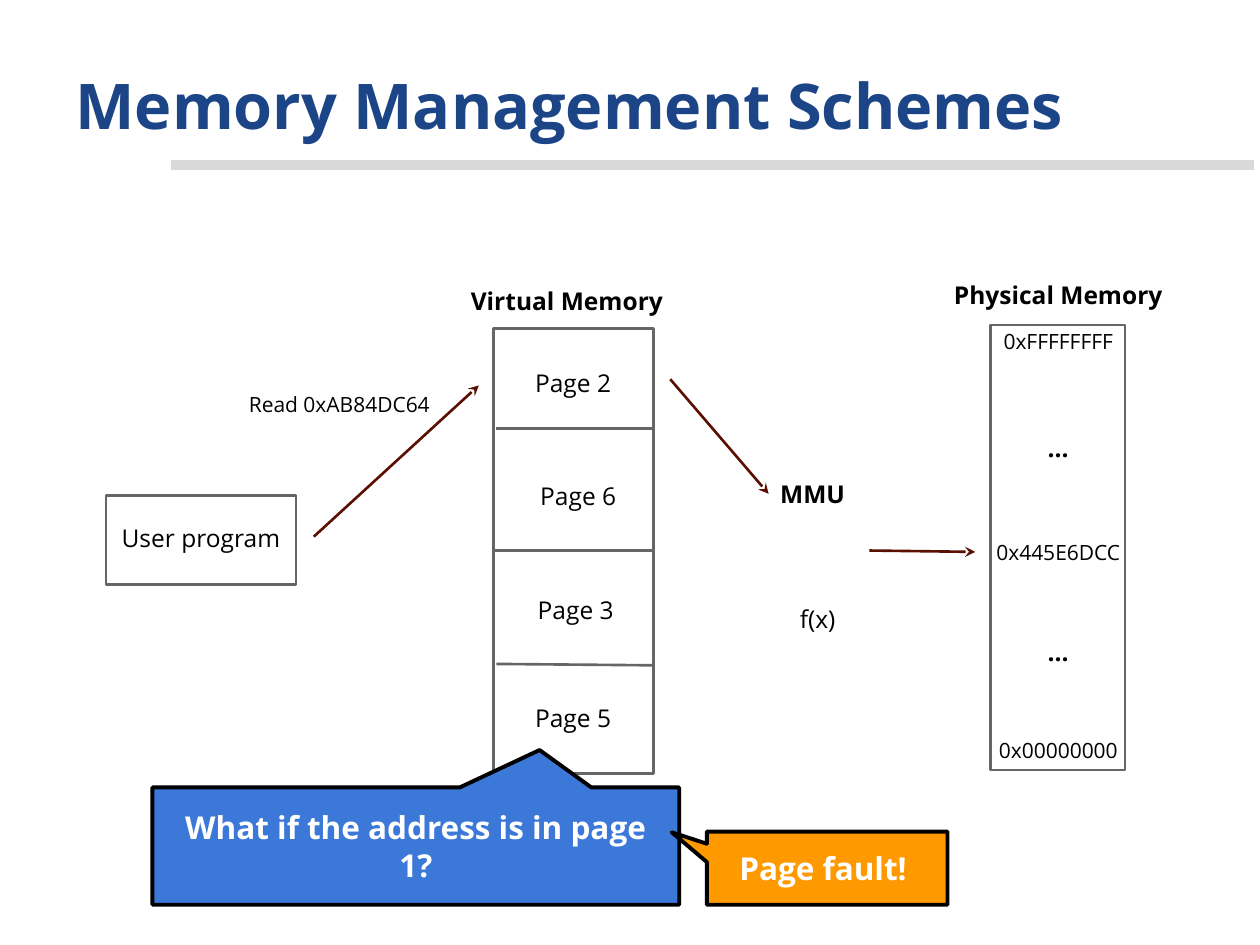
from dataclasses import dataclass

from lxml.etree import SubElement
from pptx import Presentation
from pptx.dml.color import RGBColor
from pptx.enum.shapes import MSO_CONNECTOR, MSO_SHAPE
from pptx.enum.text import MSO_ANCHOR, MSO_AUTO_SIZE, PP_ALIGN
from pptx.oxml.ns import qn
from pptx.util import Pt


@dataclass(frozen=True)
class Theme:
    """Colours, font and type sizes of the slide."""
    font: str = "Open Sans"
    title: str = "1C4587"
    text: str = "000000"
    paper: str = "FFFFFF"
    rule: str = "D9D9D9"
    border: str = "666666"
    arrow: str = "5B0F00"
    question: str = "3C78D8"
    answer: str = "FF9900"
    title_size: int = 36
    callout_size: int = 18
    label_size: int = 14
    address_size: int = 12


class MemoryDiagram:
    """Draws styled elements on the current slide."""

    def __init__(self, slide, theme):
        self.slide = slide
        self.theme = theme

    def set_text(self, shape, text, size, color, bold=False,
                 align=PP_ALIGN.CENTER, anchor=MSO_ANCHOR.MIDDLE):
        frame = shape.text_frame
        frame.text = text
        frame.word_wrap = True
        frame.auto_size = MSO_AUTO_SIZE.NONE
        frame.vertical_anchor = anchor
        frame.margin_left = frame.margin_right = Pt(7.2)
        frame.margin_top = frame.margin_bottom = Pt(7.2)
        paragraph = frame.paragraphs[0]
        paragraph.alignment = align
        font = paragraph.font
        font.name, font.size, font.bold = self.theme.font, Pt(size), bold
        font.color.rgb = RGBColor.from_string(color)

    def title(self, text, left, top, width, height):
        shape = self.slide.shapes.title
        shape.left, shape.top = Pt(left), Pt(top)
        shape.width, shape.height = Pt(width), Pt(height)
        self.set_text(shape, text, self.theme.title_size, self.theme.title, True,
                      PP_ALIGN.LEFT, MSO_ANCHOR.BOTTOM)

    def label(self, text, left, top, width, height=38.9, size=None,
              bold=False, anchor=MSO_ANCHOR.MIDDLE):
        shape = self.slide.shapes.add_textbox(Pt(left), Pt(top), Pt(width), Pt(height))
        self.set_text(shape, text, size or self.theme.label_size, self.theme.text,
                      bold, anchor=anchor)

    def box(self, left, top, width, height, kind=MSO_SHAPE.RECTANGLE,
            fill=None, border=None, weight=1.5):
        shape = self.slide.shapes.add_shape(kind, Pt(left), Pt(top), Pt(width), Pt(height))
        shape.shadow.inherit = False
        shape.fill.solid()
        shape.fill.fore_color.rgb = RGBColor.from_string(fill or self.theme.paper)
        shape.line.color.rgb = RGBColor.from_string(border or self.theme.border)
        shape.line.width = Pt(weight)
        return shape

    def callout(self, text, left, top, width, height, fill, tip):
        shape = self.box(left, top, width, height,
                         MSO_SHAPE.ROUNDED_RECTANGULAR_CALLOUT, fill, self.theme.text, 2.25)
        for index, value in enumerate((*tip, 0)):
            shape.adjustments[index] = value
        self.set_text(shape, text, self.theme.callout_size, self.theme.paper, True)

    def line(self, start, end, color, weight=1.5):
        connector = self.slide.shapes.add_connector(
            MSO_CONNECTOR.STRAIGHT, *map(Pt, (*start, *end)))
        connector.line.color.rgb = RGBColor.from_string(color)
        connector.line.width = Pt(weight)
        SubElement(connector._element.spPr, qn("a:effectLst"))
        return connector

    def arrow(self, start, end):
        connector = self.line(start, end, self.theme.arrow)
        SubElement(connector._element.spPr.find(qn("a:ln")), qn("a:tailEnd"), type="stealth")


def main():
    theme = Theme()
    presentation = Presentation()
    presentation.slide_width, presentation.slide_height = Pt(720), Pt(540)
    slide = presentation.slides.add_slide(presentation.slide_layouts[5])
    diagram = MemoryDiagram(slide, theme)

    diagram.line((97.9, 94.3), (716.4, 94.3), theme.rule, 6)
    diagram.title("Memory Management Schemes", 36, 21.6, 648, 67)

    diagram.box(60.5, 283, 108.7, 51.1)
    diagram.label("User program", 60.5, 291.6, 108.7, 41.8, anchor=MSO_ANCHOR.TOP)
    diagram.box(565.9, 185.8, 77, 254.2)
    diagram.box(282.2, 187.9, 91.4, 254.2)

    for left, start, end in ((283.7, 244.8, 244.8), (282.2, 314.6, 314.6),
                             (283.7, 379.4, 380.2)):
        diagram.line((left, start), (left + 90.4, end), theme.border)
    for text, left, top in (("Page 2", 282.2, 203), ("Page 6", 285.1, 267.8),
                            ("Page 3", 283.7, 332.6), ("Page 5", 282.2, 394.6)):
        diagram.label(text, left, top, 90.7, 29.5, anchor=MSO_ANCHOR.TOP)

    for start, end in (((179.3, 306.7), (273.6, 220.3)),
                       ((383, 216.7), (439.2, 282.2)),
                       ((496.8, 314.6), (557.3, 315.4))):
        diagram.arrow(start, end)

    diagram.label("f(x)", 432.7, 334.1, 69.1)
    for text, left, top, width in (("Virtual Memory", 244.1, 152.6, 159.8),
                                   ("Physical Memory", 524.9, 149, 159.8),
                                   ("MMU", 429.8, 262.8, 69.1),
                                   ("...", 570.2, 236.2, 69.1),
                                   ("...", 570.2, 352.8, 69.1)):
        diagram.label(text, left, top, width, bold=True)
    for text, left, top, width in (("Read 0xAB84DC64", 115.9, 211.7, 156.2),
                                   ("0xFFFFFFFF", 557.3, 175.7, 95),
                                   ("0x445E6DCC", 557.3, 295.9, 95),
                                   ("0x00000000", 557.3, 409, 95)):
        diagram.label(text, left, top, width, size=theme.address_size)

    diagram.callout("What if the address is in page 1?", 87.1, 450, 301, 67,
                    theme.question, (0.235, -0.819))
    diagram.callout("Page fault! ", 403.9, 475.2, 137.5, 41.8,
                    theme.answer, (-0.646, -0.491))
    presentation.save("out.pptx")


if __name__ == "__main__":
    main()
